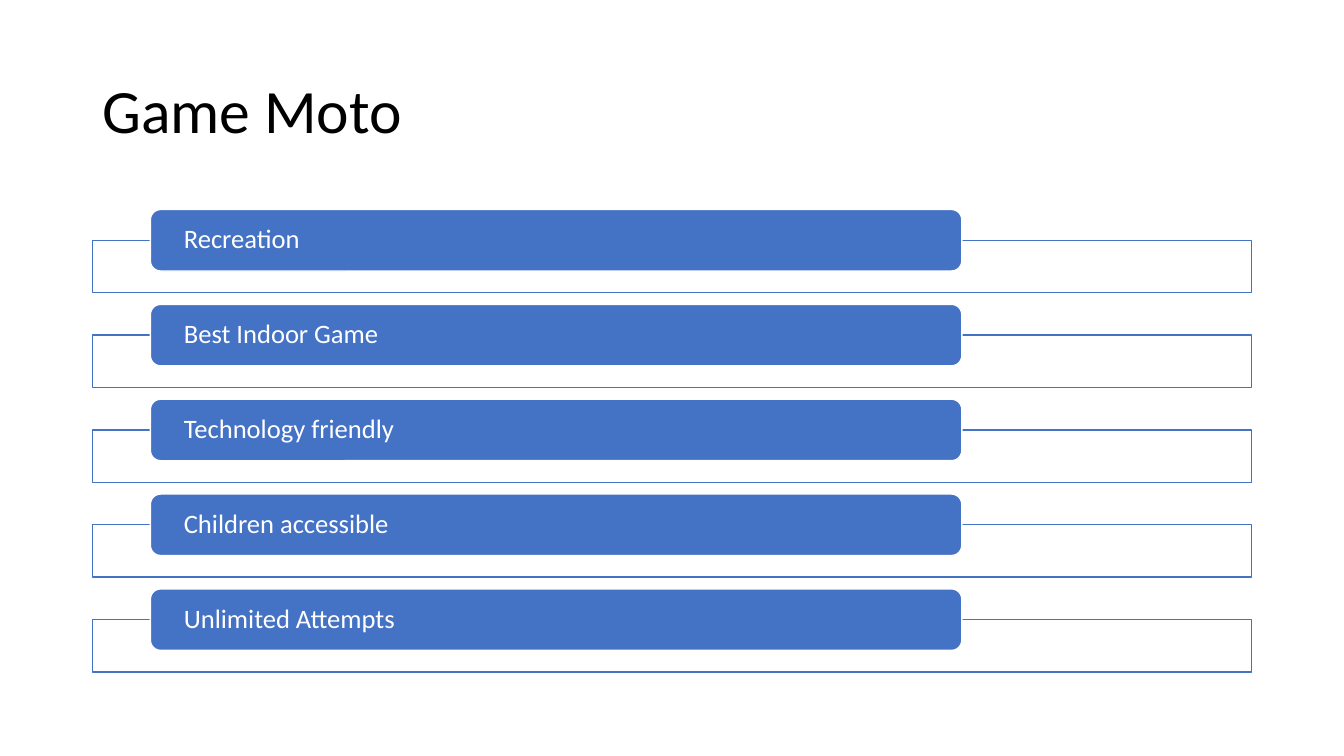
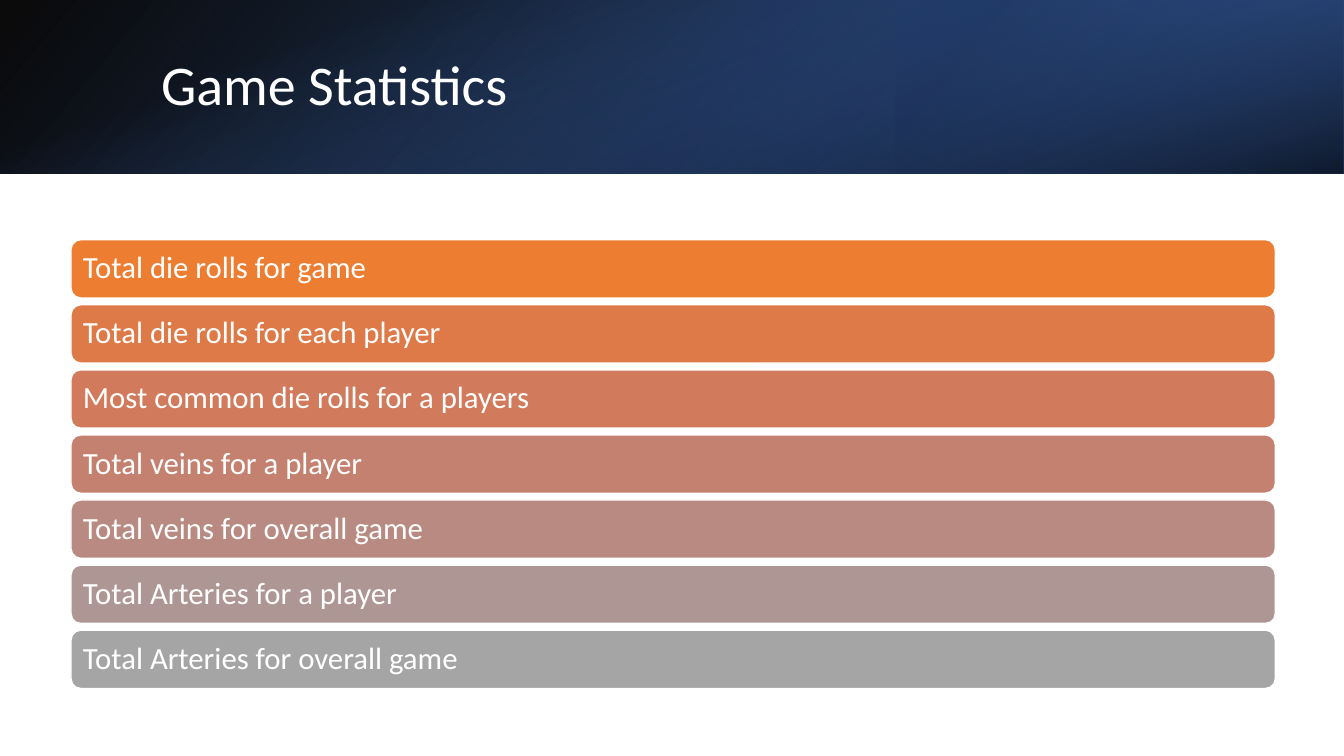
"""Build two slides on a board game: its motto and its statistics."""
from dataclasses import dataclass

from lxml.etree import SubElement
from pptx import Presentation
from pptx.dml.color import RGBColor
from pptx.enum.shapes import MSO_SHAPE as Shape
from pptx.enum.text import MSO_ANCHOR as Anchor, PP_ALIGN as Align
from pptx.oxml.ns import qn
from pptx.util import Cm, Pt

MOTTO_TITLE = "Game Moto"
MOTTOS = [
    "Recreation",
    "Best Indoor Game",
    "Technology friendly",
    "Children accessible",
    "Unlimited Attempts",
]
STATISTICS_TITLE = "Game Statistics"
STATISTICS = [
    "Total die rolls for game",
    "Total die rolls for each player",
    "Most common die rolls for a players",
    "Total veins for a player",
    "Total veins for overall game",
    "Total Arteries for a player",
    "Total Arteries for overall game",
]


@dataclass(frozen=True)
class Theme:
    """Colours, font and type sizes shared by the slides."""
    font: str = "Calibri"
    white: str = "FFFFFF"
    black: str = "000000"
    blue: str = "4472C4"
    dark_blue: str = "2F5597"
    navy: str = "203864"
    bars: tuple = ("ED7D31", "DE7A47", "D17B5C", "C48170",
                   "B98A82", "AE9694", "A5A5A5")
    motto_title: int = 44
    statistics_title: int = 40
    motto: int = 19
    statistic: int = 22
    line: int = 1


THEME = Theme()
WIDTH, HEIGHT = 33.87, 19.05
BAND_HEIGHT = 4.37
BAND_LAYERS = [
    dict(box=(0, 0, WIDTH, BAND_HEIGHT), rotation=0, flip=True, angle=140,
         stops=[(0, THEME.black, 96), (100, THEME.dark_blue, 100)]),
    dict(box=(WIDTH * 2 / 3, 0, WIDTH / 3, BAND_HEIGHT), rotation=180, flip=True,
         angle=320, stops=[(19, THEME.navy, 68), (100, THEME.blue, 79)]),
    dict(box=((WIDTH - BAND_HEIGHT) / 2, (BAND_HEIGHT - WIDTH) / 2, BAND_HEIGHT, WIDTH),
         rotation=90, flip=False, angle=340,
         stops=[(23, THEME.blue, 0), (99, THEME.black, 74)]),
]


def place(box):
    return [Cm(length) for length in box]


def set_text(shape, text, size, color, inset):
    frame = shape.text_frame
    frame.word_wrap = True
    frame.vertical_anchor = Anchor.MIDDLE
    frame.margin_left = frame.margin_right = Cm(inset)
    paragraph = frame.paragraphs[0]
    paragraph.text = text
    paragraph.alignment = Align.LEFT
    paragraph.line_spacing = 0.9
    paragraph.font.name = THEME.font
    paragraph.font.size = Pt(size)
    paragraph.font.color.rgb = RGBColor.from_string(color)


def add_title(slide, text, box, size, color):
    set_text(slide.shapes.add_textbox(*place(box)), text, size, color, 0.25)


def add_box(slide, preset, box, fill, line):
    shape = slide.shapes.add_shape(preset, *place(box))
    shape.shadow.inherit = False
    shape.fill.solid()
    shape.fill.fore_color.rgb = RGBColor.from_string(fill)
    shape.line.color.rgb = RGBColor.from_string(line)
    shape.line.width = Pt(THEME.line)
    return shape


def add_band_layer(slide, box, rotation, flip, angle, stops):
    shape = slide.shapes.add_shape(Shape.RECTANGLE, *place(box))
    shape.shadow.inherit = False
    shape.line.fill.background()
    shape.rotation = rotation
    if flip:
        shape.element.spPr.find(qn("a:xfrm")).set("flipH", "1")
    shape.fill.gradient()
    gradient = shape.element.spPr.find(qn("a:gradFill"))
    for child in list(gradient):
        gradient.remove(child)
    stop_list = SubElement(gradient, qn("a:gsLst"))
    for position, color, opacity in stops:
        stop = SubElement(stop_list, qn("a:gs"), pos=str(position * 1000))
        rgb = SubElement(stop, qn("a:srgbClr"), val=color)
        SubElement(rgb, qn("a:alpha"), val=str(opacity * 1000))
    SubElement(gradient, qn("a:lin"), ang=str(angle * 60000), scaled="0")


def build_motto(slide):
    add_title(slide, MOTTO_TITLE, (2.33, 1.02, 29.21, 3.68),
              THEME.motto_title, THEME.black)
    top, pitch, tab_height = 5.28, 2.39, 1.55
    for row, motto in enumerate(MOTTOS):
        tab_top = top + row * pitch
        add_box(slide, Shape.RECTANGLE, (2.33, tab_top + tab_height / 2, 29.21, 1.32),
                THEME.white, THEME.blue)
        tab = add_box(slide, Shape.ROUNDED_RECTANGLE, (3.79, tab_top, 20.45, tab_height),
                      THEME.blue, THEME.white)
        set_text(tab, motto, THEME.motto, THEME.white, 0.77)


def build_statistics(slide):
    for layer in BAND_LAYERS:
        add_band_layer(slide, **layer)
    add_title(slide, STATISTICS_TITLE, (3.81, 0.97, 27.89, 2.44),
              THEME.statistics_title, THEME.white)
    top, pitch = 6.04, 1.64
    for row, (statistic, color) in enumerate(zip(STATISTICS, THEME.bars)):
        bar = add_box(slide, Shape.ROUNDED_RECTANGLE,
                      (1.79, top + row * pitch, 30.35, 1.47), color, THEME.white)
        set_text(bar, statistic, THEME.statistic, THEME.white, 0.23)


def main():
    presentation = Presentation()
    presentation.slide_width, presentation.slide_height = Cm(WIDTH), Cm(HEIGHT)
    blank = presentation.slide_layouts[6]
    for build in (build_motto, build_statistics):
        build(presentation.slides.add_slide(blank))
    presentation.save("out.pptx")


if __name__ == "__main__":
    main()
